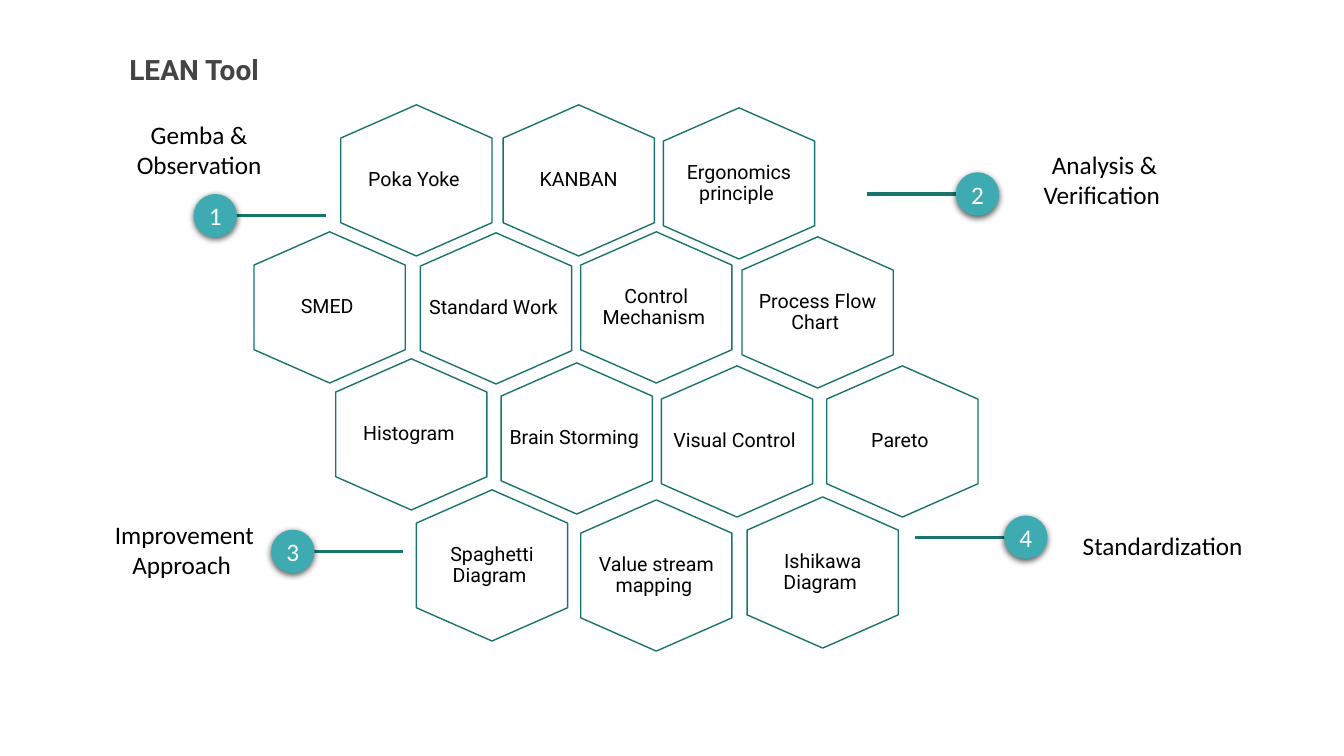
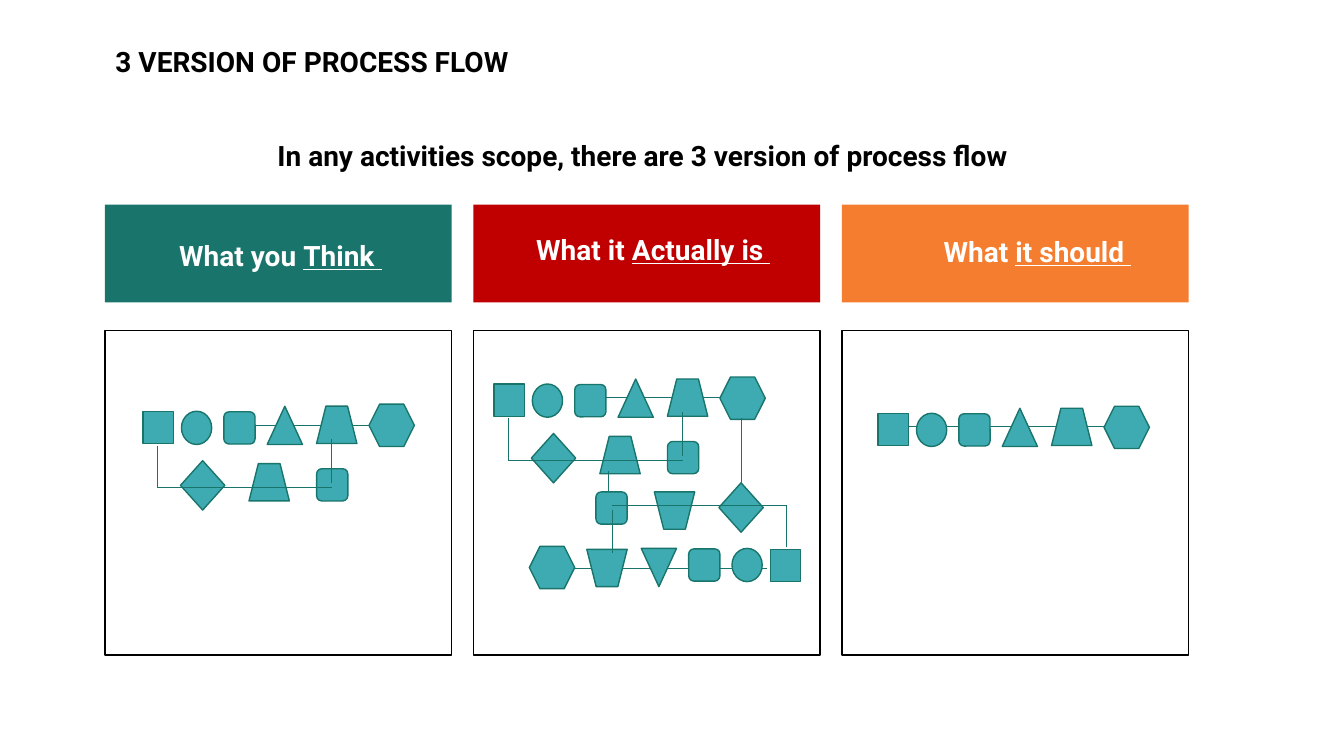
from lxml.etree import SubElement
from pptx import Presentation
from pptx.dml.color import RGBColor
from pptx.enum.shapes import MSO_CONNECTOR as Connector, MSO_SHAPE as Shape
from pptx.enum.text import MSO_ANCHOR as Anchor, PP_ALIGN as Align
from pptx.oxml.ns import qn
from pptx.util import Inches, Pt

COLORS = {
    "ink": "000000", "title": "444444", "white": "FFFFFF", "line": "19756C",
    "teal": "3DABB1", "red": "C00000", "orange": "F57D2F",
}
HEADING_FONT, LABEL_FONT = "Roboto", "Calibri"
CELL = 0.1  # one grid column or row, in inches

# Hexagon outline, in cells from its top left corner
HEXAGON = [(7.5, 0), (15, 3.3), (15, 11.7), (7.5, 15), (0, 11.7), (0, 3.3)]

# Flow steps: preset, left, top, width, height in cells from the flow's corner
CHAIN = [
    (Shape.RECTANGLE, 0, 0.7, 3, 3.2),
    (Shape.OVAL, 3.8, 0.7, 3, 3.3),
    (Shape.ROUNDED_RECTANGLE, 8, 0.75, 3.1, 3.2),
    (Shape.ISOSCELES_TRIANGLE, 12.3, 0.2, 3.5, 3.8),
    (Shape.TRAPEZOID, 17.2, 0.2, 4, 3.7),
    (Shape.HEXAGON, 22.4, 0, 4.5, 4.2),
]
DETOUR = [
    (Shape.DIAMOND, 3.7, 5.6, 4.4, 4.9),
    (Shape.TRAPEZOID, 10.5, 5.9, 4, 3.7),
    (Shape.ROUNDED_RECTANGLE, 17.2, 6.4, 3.1, 3.2),
]
DETOUR_LINES = [(1.4, 4.1, 1.4, 8.3), (1.4, 8.3, 18.7, 8.3), (18.7, 3.5, 18.7, 7.8)]


def cells(count):
    return Inches(count * CELL)


def color(name):
    return RGBColor.from_string(COLORS[name])


class Deck:
    def __init__(self):
        self.presentation = Presentation()
        self.presentation.slide_width = Inches(13.33)
        self.presentation.slide_height = Inches(7.5)
        self.shapes = None

    def new_slide(self):
        layout = self.presentation.slide_layouts[6]
        self.shapes = self.presentation.slides.add_slide(layout).shapes

    def paint(self, shape, fill=None, line=None, width=1):
        shape.shadow.inherit = False
        if fill:
            shape.fill.solid()
            shape.fill.fore_color.rgb = color(fill)
        else:
            shape.fill.background()
        if line:
            shape.line.color.rgb = color(line)
            shape.line.width = Pt(width)
        else:
            shape.line.fill.background()

    def add_text(self, shape, runs, size, font, ink="ink", bold=False,
                 align=Align.CENTER, spacing=None, anchor=Anchor.TOP, insets=None):
        """Fill a shape with one paragraph of (text, underlined) runs."""
        frame = shape.text_frame
        frame.word_wrap = True
        frame.vertical_anchor = anchor
        if insets:
            frame.margin_left = frame.margin_right = cells(insets[0])
            frame.margin_top = frame.margin_bottom = cells(insets[1])
        paragraph = frame.paragraphs[0]
        paragraph.alignment = align
        if spacing:
            paragraph.line_spacing = spacing
        for text, underlined in runs:
            run = paragraph.add_run()
            run.text = text
            run.font.name = font
            run.font.size = Pt(size)
            run.font.bold = bold
            run.font.color.rgb = color(ink)
            if underlined:
                run.font.underline = True

    def text_box(self, left, top, width, height, runs, **style):
        box = self.shapes.add_textbox(*map(cells, (left, top, width, height)))
        self.add_text(box, runs, **style)

    def heading(self, left, top, width, runs, **style):
        self.text_box(left, top, width, 4.4, runs,
                      size=20, font=HEADING_FONT, bold=True, **style)

    def title(self, text, top, width, **style):
        self.heading(4.8, top, width, [(text, False)], **style)

    def label(self, text, left, top, width, height, align=Align.CENTER):
        self.text_box(left, top, width, height, [(text, False)],
                      size=18, font=LABEL_FONT, align=align)

    def block(self, preset, left, top, width, height, fill, line=None):
        shape = self.shapes.add_shape(preset, *map(cells, (left, top, width, height)))
        self.paint(shape, fill, line)
        return shape

    def line(self, x1, y1, x2, y2, width=0.5):
        connector = self.shapes.add_connector(
            Connector.STRAIGHT, *map(cells, (x1, y1, x2, y2)))
        connector.line.color.rgb = color("line")
        connector.line.width = Pt(width)
        SubElement(connector._element.spPr, qn("a:effectLst"))

    def hexagon(self, text, left, top):
        points = [(cells(left + x), cells(top + y)) for x, y in HEXAGON]
        builder = self.shapes.build_freeform(*points[0])
        builder.add_line_segments(points[1:], close=True)
        shape = builder.convert_to_shape()
        self.paint(shape, line="line")
        self.add_text(shape, [(text, False)], size=14, font=HEADING_FONT,
                      spacing=0.9, anchor=Anchor.MIDDLE, insets=(0.6, 0.7))

    def badge(self, number, x, y, side):
        """Numbered circle centred on x, y; its line runs right (1) or left (-1)."""
        self.line(x + side * 1.25, y, x + side * 10.95, y, width=2.25)
        size = 4.3
        circle = self.block(Shape.OVAL, x - size / 2, y - size / 2, size, size, "teal")
        effects = circle._element.spPr.find(qn("a:effectLst"))
        shadow = SubElement(effects, qn("a:outerShdw"), blurRad=str(Pt(4.5)),
                            dist=str(Pt(1.5)), dir="5400000", rotWithShape="0")
        tone = SubElement(shadow, qn("a:srgbClr"), val=COLORS["ink"])
        SubElement(tone, qn("a:alpha"), val="63000")
        self.add_text(circle, [(number, False)], size=18, font=LABEL_FONT,
                      ink="white", anchor=Anchor.MIDDLE, insets=(0, 0))

    def flow(self, x, y, chain_line, detour=True, turned=False):
        """Process flow from corner x, y; a turned flow runs left and up."""
        way = -1 if turned else 1

        def link(x1, y1, x2, y2):
            self.line(x + way * x1, y + way * y1, x + way * x2, y + way * y2)

        start, end = chain_line
        link(start, 2.05, end, 2.05)
        for preset, left, top, width, height in CHAIN + (DETOUR if detour else []):
            if turned:
                left, top = -left - width, -top - height
            step = self.block(preset, x + left, y + top, width, height, "teal", "line")
            step.rotation = 180 if turned else 0
        for ends in DETOUR_LINES if detour else []:
            link(*ends)


def lean_tools(deck):
    deck.new_slide()

    # Honeycomb of tools
    for text, left, top in [
        ("Poka Yoke ", 33.8, 10.4),
        ("KANBAN", 49.9, 10.4),
        ("Ergonomics principle ", 65.8, 10.7),
        ("SMED ", 25.2, 23),
        ("Standard Work ", 41.7, 23.1),
        ("Control Mechanism ", 57.6, 23),
        ("Process Flow Chart ", 73.6, 23.5),
        ("Histogram ", 33.3, 35.6),
        ("Brain Storming ", 49.7, 36),
        ("Visual Control ", 65.6, 36.3),
        ("Pareto ", 82, 36.3),
        ("Spaghetti Diagram ", 41.3, 48.6),
        ("Value stream mapping ", 57.6, 49.6),
        ("Ishikawa Diagram ", 74.1, 49.3),
    ]:
        deck.hexagon(text, left, top)

    # Numbered phases
    for number, x, y, side in [
        ("1", 21.35, 21.4, 1), ("3", 29.05, 54.7, 1),
        ("2", 96.95, 19.25, -1), ("4", 101.75, 53.3, -1),
    ]:
        deck.badge(number, x, y, side)
    deck.label("Gemba & Observation", 9.1, 11.3, 21.3, 7.1)
    deck.label("Analysis & Verification ", 100.5, 14.3, 18.1, 7.1)
    deck.label("Improvement Approach ", 8.5, 51, 19.6, 7.1)
    deck.label("Standardization", 106.4, 52.1, 18.1, 4, align=Align.LEFT)

    deck.title("LEAN Tool", 4.2, 28.9, ink="title", spacing=1.15)


def process_flows(deck):
    deck.new_slide()
    deck.title("3 VERSION OF PROCESS FLOW ", 3.9, 53)
    deck.heading(10.4, 13.2, 107.4, [
        ("In any activities scope, there are 3 version of process flow ", False)])

    # Three columns: coloured band, its words, and a framed panel
    for index, (fill, plain, stressed, shift, top) in enumerate([
        ("line", "What you ", "Think ", 3, 23.2),
        ("red", "What it ", "Actually is ", 3.45, 22.6),
        ("orange", "What ", "it should ", 5, 22.8),
    ]):
        left = 10.4 + index * 36.55
        deck.block(Shape.RECTANGLE, left, 20.3, 34.4, 9.7, fill)
        deck.block(Shape.RECTANGLE, left, 32.8, 34.4, 32.2, "white", "ink")
        deck.heading(left + shift, top, 28.8,
                     [(plain, False), (stressed, True)], ink="white")

    # Flow as imagined
    deck.flow(14.2, 40.1, (8.5, 25.8))

    # Flow as it is: two detours joined by links
    deck.flow(49, 37.4, (8.5, 25.8))
    deck.line(60.3, 46.7, 60.3, 51)
    deck.line(73.5, 41.5, 73.5, 49.5)
    deck.flow(79.4, 58.4, (3.3, 23.3), turned=True)

    # Flow as it should be
    deck.flow(87.1, 40.3, (2.9, 23.9), detour=False)


def main():
    deck = Deck()
    lean_tools(deck)
    process_flows(deck)
    deck.presentation.save("out.pptx")


if __name__ == "__main__":
    main()
